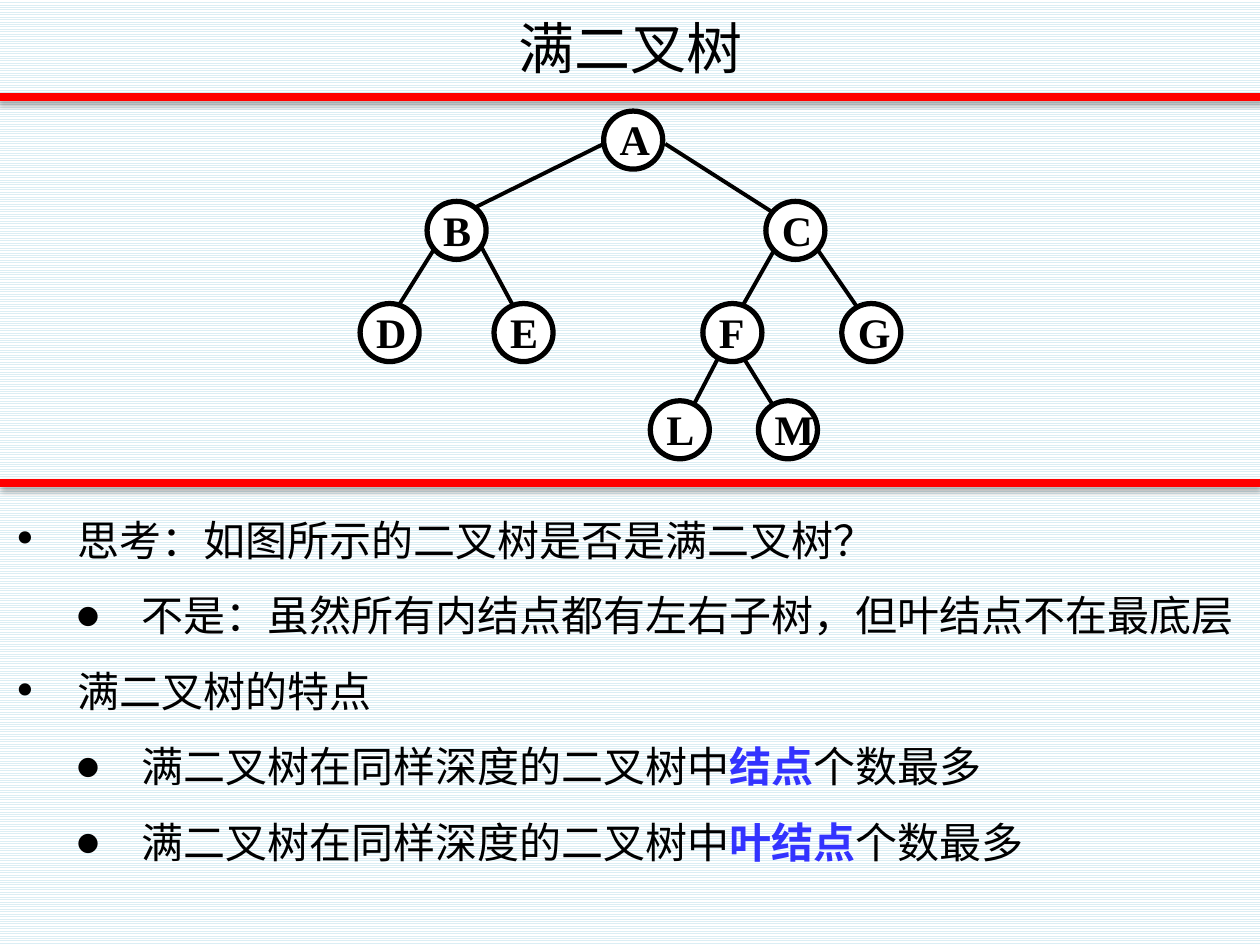
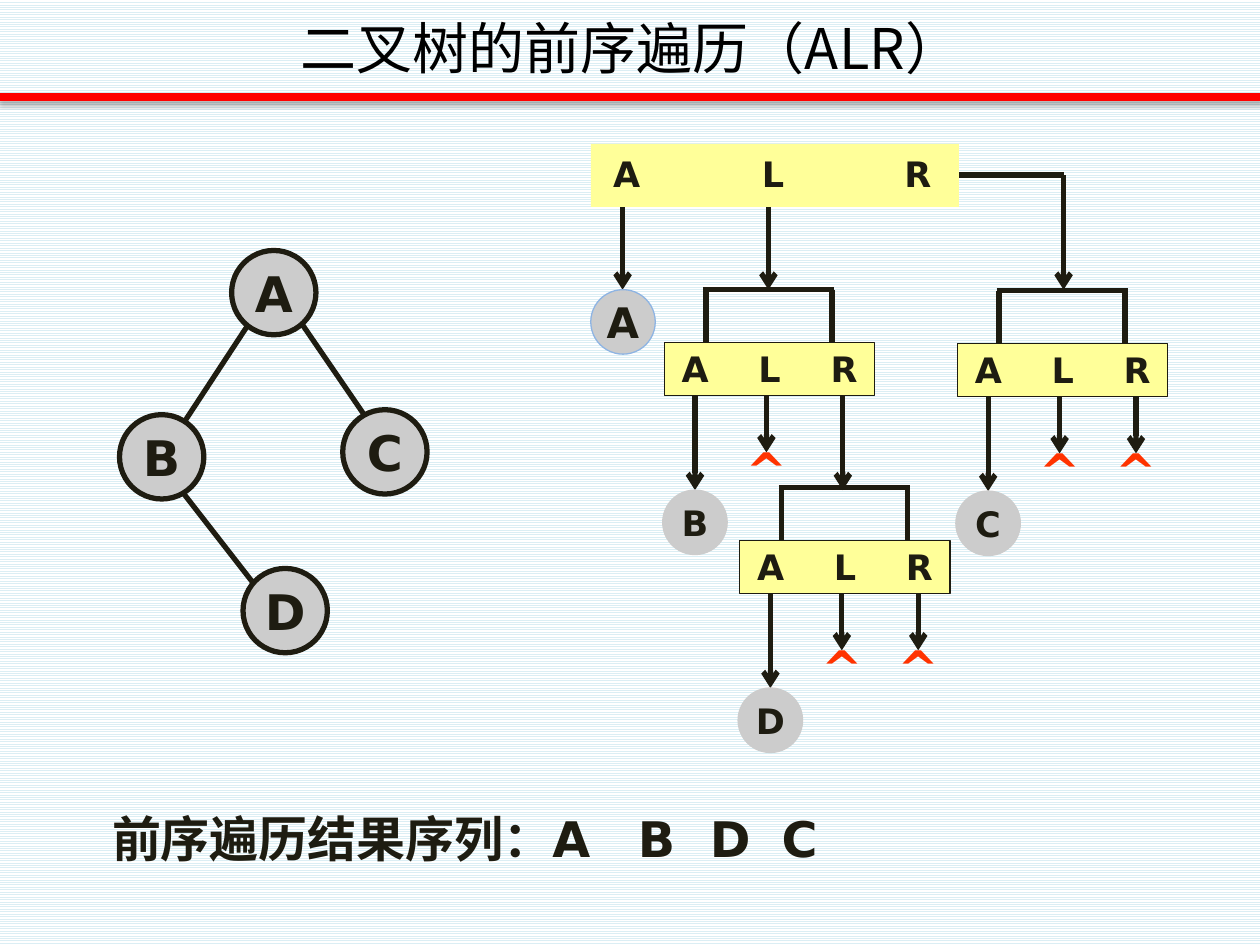
import lxml.etree
import pptx
import pptx.dml.color
import pptx.enum.dml
import pptx.enum.shapes
import pptx.enum.text
import pptx.oxml.ns
import pptx.util

Cm = pptx.util.Cm
Pt = pptx.util.Pt
qn = pptx.oxml.ns.qn
RGBColor = pptx.dml.color.RGBColor
OVAL = pptx.enum.shapes.MSO_SHAPE.OVAL
RECTANGLE = pptx.enum.shapes.MSO_SHAPE.RECTANGLE
MIDDLE = pptx.enum.text.MSO_ANCHOR.MIDDLE
CENTER = pptx.enum.text.PP_ALIGN.CENTER
LEFT = pptx.enum.text.PP_ALIGN.LEFT

BLACK = RGBColor(0x00, 0x00, 0x00)
WHITE = RGBColor(0xFF, 0xFF, 0xFF)
RED = RGBColor(0xFF, 0x00, 0x00)
STRIPE = RGBColor(0xDB, 0xEE, 0xF4)
HIGHLIGHT = RGBColor(0x33, 0x33, 0xFF)
INK = RGBColor(0x1E, 0x1C, 0x11)
GRAY = RGBColor(0xCC, 0xCC, 0xCC)
PALE_BLUE = RGBColor(0x8E, 0xB4, 0xE3)
YELLOW = RGBColor(0xFF, 0xFF, 0x99)
ORANGE = RGBColor(0xFF, 0x33, 0x00)
TITLE_FONT = "Noto Sans CJK SC"
TEXT_FONT = "DejaVu Sans"
NODE_FONT = "Times New Roman"


def write_text(paragraph, text, size=20, font=TEXT_FONT, color=INK, bold=True,
               alignment=CENTER, line_spacing=None):
    paragraph.alignment = alignment
    if line_spacing:
        paragraph.line_spacing = line_spacing
    run = paragraph.add_run()
    run.text = text
    run.font.size = Pt(size)
    run.font.name = font
    run.font.bold = bold
    run.font.color.rgb = color
    lxml.etree.SubElement(run.font._element, qn("a:ea"), typeface=font)


def add_line(slide, start, end, color=INK, width=3, arrow=False, shadow=False):
    connector = slide.shapes.add_connector(
        pptx.enum.shapes.MSO_CONNECTOR.STRAIGHT, *map(Cm, start + end))
    connector.line.color.rgb = color
    connector.line.width = Pt(width)
    if arrow:
        lxml.etree.SubElement(connector.line._get_or_add_ln(), qn("a:tailEnd"), type="arrow")
    effects = lxml.etree.SubElement(connector._element.spPr, qn("a:effectLst"))
    if shadow:
        outer = lxml.etree.SubElement(effects, qn("a:outerShdw"), blurRad="39400", dist="22900",
                                      dir="5400000", rotWithShape="0")
        shade = lxml.etree.SubElement(outer, qn("a:srgbClr"), val="000000")
        lxml.etree.SubElement(shade, qn("a:alpha"), val="35000")
    return connector


presentation = pptx.Presentation()
presentation.slide_width = Cm(25.4)
presentation.slide_height = Cm(19.05)
master = presentation.slide_master

# Shared background, title place and red band
background = master.background.fill
background.patterned()
background.pattern = pptx.enum.dml.MSO_PATTERN.LIGHT_HORIZONTAL
background.fore_color.rgb = STRIPE
background.back_color.rgb = WHITE

full_tree_slide = presentation.slides.add_slide(presentation.slide_layouts[1])
preorder_slide = presentation.slides.add_slide(presentation.slide_layouts[5])

band = add_line(full_tree_slide, (-0.03, 1.96), (25.43, 1.96), RED, 4.5, shadow=True)
band._element.nvCxnSpPr.cNvPr.set("id", "20")
master.shapes.element.append(band._element)

for slide, heading in ((full_tree_slide, "满二叉树"), (preorder_slide, "二叉树的前序遍历（ALR）")):
    title = slide.shapes.title
    title.left, title.top, title.width, title.height = Cm(0), Cm(0.13), Cm(25.43), Cm(1.65)
    title.text_frame.vertical_anchor = MIDDLE
    title.text_frame.auto_size = pptx.enum.text.MSO_AUTO_SIZE.NONE
    write_text(title.text_frame.paragraphs[0], heading, size=32, font=TITLE_FONT,
               color=BLACK, bold=False)

# Slide 1: list, with highlighted words between bars
body = full_tree_slide.placeholders[1]
body.left, body.top, body.width, body.height = Cm(0), Cm(9.73), Cm(25.4), Cm(9.32)
body.text_frame.auto_size = pptx.enum.text.MSO_AUTO_SIZE.NONE
points = [
    (1, "思考：如图所示的二叉树是否是满二叉树？"),
    (2, "不是：虽然所有内结点都有左右子树，但叶结点不在最底层"),
    (1, "满二叉树的特点"),
    (2, "满二叉树在同样深度的二叉树中|结点|个数最多"),
    (2, "满二叉树在同样深度的二叉树中|叶结点|个数最多"),
]
for index, (depth, point) in enumerate(points):
    paragraph = body.text_frame.paragraphs[0] if index == 0 else body.text_frame.add_paragraph()
    paragraph.level = 1
    paragraph.space_before = Pt(0)
    properties = paragraph._p.get_or_add_pPr()
    properties.set("marL", str(Cm(1.3 * depth)))
    properties.set("indent", str(-Cm(1.3)))
    bullet_color = lxml.etree.SubElement(properties, qn("a:buClr"))
    lxml.etree.SubElement(bullet_color, qn("a:srgbClr"), val="000000")
    if depth == 2:
        lxml.etree.SubElement(properties, qn("a:buSzPct"), val="60000")
    lxml.etree.SubElement(properties, qn("a:buFont"), typeface=TEXT_FONT)
    lxml.etree.SubElement(properties, qn("a:buChar"), char="•" if depth == 1 else "●")
    for part_number, part in enumerate(point.split("|")):
        marked = part_number == 1
        write_text(paragraph, part, size=24, color=HIGHLIGHT if marked else BLACK,
                   bold=marked, alignment=LEFT, line_spacing=1.5)

# Slide 1: divider and tree
add_line(full_tree_slide, (0, 9.73), (25.4, 9.73), RED, 4.5, shadow=True)
tree_edges = [
    ((12.17, 2.9), (9.4, 4.27)), ((13.41, 2.9), (15.67, 4.34)),
    ((8.84, 4.88), (7.98, 6.25)), ((9.65, 4.88), (10.39, 6.25)),
    ((15.67, 4.93), (14.91, 6.27)), ((16.41, 4.93), (17.3, 6.22)),
    ((14.48, 7.21), (14, 8.13)), ((14.88, 7.04), (15.6, 8.2)),
]
for start, end in tree_edges:
    add_line(full_tree_slide, start, end, BLACK, 2.25)

tree_rows = [
    (2.24, {"A": 12.17}),
    (4.06, {"B": 8.61, "C": 15.44}),
    (6.12, {"D": 7.26, "E": 9.96, "F": 14.17, "G": 16.97}),
    (8.08, {"L": 13.11, "M": 15.29}),
]
for top, row in tree_rows:
    for letter, left in row.items():
        node = full_tree_slide.shapes.add_shape(OVAL, Cm(left), Cm(top), Cm(1.19), Cm(1.17))
        node.shadow.inherit = False
        node.fill.solid()
        node.fill.fore_color.rgb = WHITE
        node.line.color.rgb = BLACK
        node.line.width = Pt(3)
        frame = node.text_frame
        frame.word_wrap = True
        frame.vertical_anchor = pptx.enum.text.MSO_ANCHOR.TOP
        frame.margin_left = Cm(0.15)
        frame.margin_top = frame.margin_right = frame.margin_bottom = 0
        write_text(frame.paragraphs[0], letter, size=24, font=NODE_FONT, color=BLACK,
                   alignment=LEFT, line_spacing=0.9)

# Slide 2: edges of the small tree and arrows leaving the first call
for start, end in (((5, 6.55), (3.68, 8.56)), ((6.1, 6.55), (7.34, 8.36)),
                   ((3.71, 9.96), (5.11, 11.76)), ((19.1, 3.53), (21.44, 3.53))):
    add_line(preorder_slide, start, end)
for x, top in ((12.55, 3.94), (15.49, 3.94), (21.44, 3.53)):
    add_line(preorder_slide, (x, top), (x, 5.84), arrow=True)

# Letter, left, top, diameter, text size, outline, outline width
circles = [
    ("A", 4.67, 5.05, 1.7, 28, INK, 3), ("B", 2.41, 8.36, 1.7, 28, INK, 3),
    ("C", 6.91, 8.26, 1.7, 28, INK, 3), ("D", 4.9, 11.46, 1.7, 28, INK, 3),
    ("A", 11.91, 5.84, 1.3, 24, PALE_BLUE, 0.75),
]
# Left, top, width, height, outlined
call_boxes = [(11.91, 2.9, 7.42, 1.27, False)]
call_letters = [("A", 12.04, 3), ("L", 14.99, 3), ("R", 17.91, 3)]
empty_marks = []

# Slide 2: each recursive call with its bracket, arrows and visited node
for visited, left, top, right_is_empty in (("B", 13.39, 6.91, False), ("C", 19.3, 6.93, True),
                                           ("D", 14.91, 10.9, True)):
    call_boxes.append((left, top, 4.24, 1.07, True))
    bracket, bottom = top - 1.07, top + 1.07
    add_line(preorder_slide, (left + 0.79, bracket), (left + 3.43, bracket))
    for x in (left + 0.84, left + 3.38):
        add_line(preorder_slide, (x, bracket), (x, top))
    for offset, is_empty in ((0.62, False), (2.06, True), (3.6, right_is_empty)):
        x = left + offset
        add_line(preorder_slide, (x, bottom), (x, bottom + (1.14 if is_empty else 1.9)), arrow=True)
        if is_empty:
            empty_marks.append((x - 0.65, top + 1.85))
    circles.append((visited, left - 0.03, top + 2.97, 1.3, 20, GRAY, 0.75))
    for number, letter in enumerate("ALR"):
        call_letters.append((letter, left + 0.03 + 1.5 * number, top + 0.03))

for left, top, width, height, outlined in call_boxes:
    call_box = preorder_slide.shapes.add_shape(RECTANGLE, *map(Cm, (left, top, width, height)))
    call_box.shadow.inherit = False
    call_box.fill.solid()
    call_box.fill.fore_color.rgb = YELLOW
    if outlined:
        call_box.line.color.rgb = INK
        call_box.line.width = Pt(0.75)
    else:
        call_box.line.fill.background()

for letter, left, top, diameter, size, outline, width in circles:
    circle = preorder_slide.shapes.add_shape(OVAL, *map(Cm, (left, top, diameter, diameter)))
    circle.shadow.inherit = False
    circle.fill.solid()
    circle.fill.fore_color.rgb = GRAY
    circle.line.color.rgb = outline
    circle.line.width = Pt(width)
    circle.text_frame.word_wrap = False
    circle.text_frame.vertical_anchor = MIDDLE
    write_text(circle.text_frame.paragraphs[0], letter, size=size)

# Slide 2: letters in the calls and marks for empty subtrees
for letter, left, top in call_letters:
    frame = preorder_slide.shapes.add_textbox(*map(Cm, (left, top, 1.19, 0.99))).text_frame
    frame.margin_left = frame.margin_top = frame.margin_right = frame.margin_bottom = 0
    frame.word_wrap = False
    frame.vertical_anchor = MIDDLE
    write_text(frame.paragraphs[0], letter)

for left, top in empty_marks:
    frame = preorder_slide.shapes.add_textbox(*map(Cm, (left, top, 1.3, 1.3))).text_frame
    frame.margin_left = frame.margin_right = frame.margin_bottom = 0
    frame.margin_top = Cm(0.1)
    frame.word_wrap = True
    write_text(frame.paragraphs[0], "^", size=28, color=ORANGE)

# Slide 2: resulting sequence
result = preorder_slide.shapes.add_textbox(Cm(2.01), Cm(16.18), Cm(18.21), Cm(1.45))
result.text_frame.word_wrap = True
paragraph = result.text_frame.paragraphs[0]
tab_list = lxml.etree.SubElement(paragraph._p.get_or_add_pPr(), qn("a:tabLst"))
for position in (10.6, 12.05, 13.5):
    lxml.etree.SubElement(tab_list, qn("a:tab"), pos=str(Cm(position)), algn="l")
write_text(paragraph, "前序遍历结果序列：A\tB\tD\tC", size=28, alignment=LEFT)

presentation.save("out.pptx")
